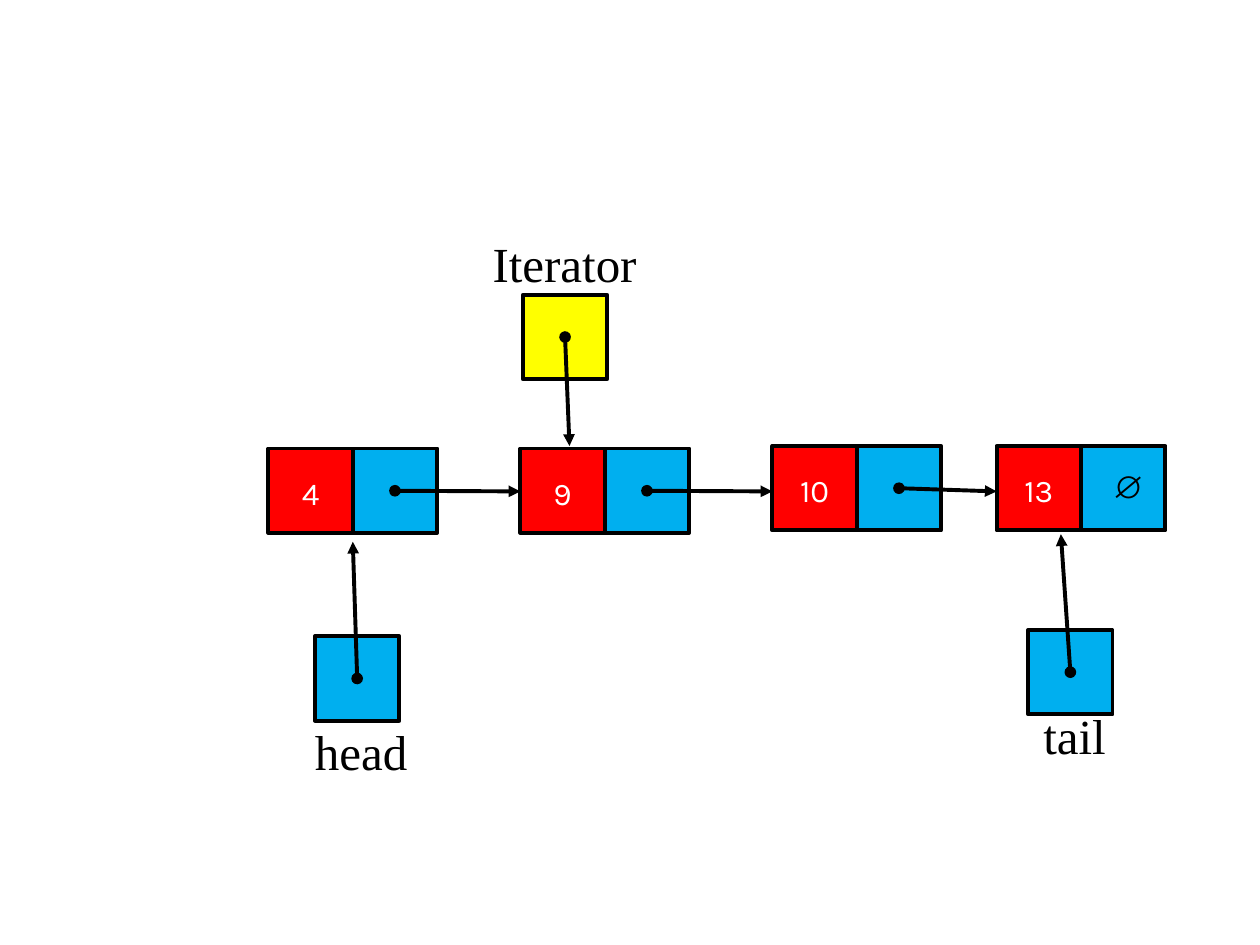
from dataclasses import dataclass
from itertools import pairwise

from lxml.etree import SubElement
from pptx import Presentation
from pptx.dml.color import RGBColor
from pptx.enum.shapes import MSO_CONNECTOR, MSO_SHAPE
from pptx.enum.text import MSO_ANCHOR, MSO_AUTO_SIZE, PP_ALIGN
from pptx.oxml.ns import qn
from pptx.util import Inches, Pt


@dataclass(frozen=True)
class Theme:
    value_fill: RGBColor = RGBColor(0xFF, 0x00, 0x00)
    link_fill: RGBColor = RGBColor(0x00, 0xAF, 0xEF)
    iterator_fill: RGBColor = RGBColor(0xFF, 0xFF, 0x00)
    ink: RGBColor = RGBColor(0x00, 0x00, 0x00)
    value_ink: RGBColor = RGBColor(0xFF, 0xFF, 0xFF)
    value_font: str = "Karla"
    null_font: str = "Arial"
    label_font: str = "Times New Roman"
    cell_size: int = 18
    label_size: int = 28
    line_width: float = 2.25


@dataclass(frozen=True)
class Box:
    left: float
    top: float
    width: float
    height: float

    @property
    def center(self):
        return self.left + self.width / 2, self.top + self.height / 2


THEME = Theme()
CELL = 0.67
ARROW_END_Y = 3.9
NULL_SIGN = "∅"
NODES = [("4", 2.13, 3.56), ("9", 4.13, 3.56), ("10", 6.13, 3.54), ("13", 7.91, 3.54)]


def write_text(shape, text, font_name, size, color, align, inset_left=0, inset_top=0):
    frame = shape.text_frame
    frame.text = text
    frame.word_wrap = True
    frame.auto_size = MSO_AUTO_SIZE.NONE
    frame.vertical_anchor = MSO_ANCHOR.TOP
    frame.margin_left, frame.margin_top = Inches(inset_left), Inches(inset_top)
    frame.margin_right = frame.margin_bottom = 0
    para = frame.paragraphs[0]
    para.alignment = align
    span = para.runs[0]
    span.font.name = font_name
    span.font.size = Pt(size)
    span.font.color.rgb = color


def add_cell(page, box, fill):
    cell = page.shapes.add_shape(
        MSO_SHAPE.RECTANGLE,
        Inches(box.left), Inches(box.top), Inches(box.width), Inches(box.height),
    )
    cell.shadow.inherit = False
    cell.fill.solid()
    cell.fill.fore_color.rgb = fill
    cell.line.color.rgb = THEME.ink
    cell.line.width = Pt(THEME.line_width)
    return cell


def add_arrow(page, start, end):
    arrow = page.shapes.add_connector(
        MSO_CONNECTOR.STRAIGHT, *(Inches(length) for length in (*start, *end))
    )
    arrow.line.color.rgb = THEME.ink
    arrow.line.width = Pt(THEME.line_width)
    outline = arrow.line._get_or_add_ln()
    SubElement(outline, qn("a:headEnd"), type="oval", w="med", len="med")
    SubElement(outline, qn("a:tailEnd"), type="triangle", w="med", len="med")
    SubElement(arrow._element.spPr, qn("a:effectLst"))


def add_node(page, box, value):
    half = box.width / 2
    value_cell = add_cell(page, Box(box.left, box.top, half, box.height), THEME.value_fill)
    write_text(value_cell, value, THEME.value_font, THEME.cell_size, THEME.value_ink,
               PP_ALIGN.CENTER, inset_top=0.2)
    link_box = Box(box.left + half, box.top, half, box.height)
    return add_cell(page, link_box, THEME.link_fill), link_box


def add_list(page, nodes):
    boxes = [Box(left, top, 2 * CELL, CELL) for _, left, top in nodes]
    links = [add_node(page, box, node[0]) for box, node in zip(boxes, nodes)]
    for (_, link_box), (_, next_left, _) in zip(links, nodes[1:]):
        add_arrow(page, link_box.center, (next_left, ARROW_END_Y))
    write_text(links[-1][0], NULL_SIGN, THEME.null_font, THEME.cell_size, THEME.ink,
               PP_ALIGN.LEFT, inset_left=0.25, inset_top=0.17)


def add_pointer(page, box, fill, target):
    add_cell(page, box, fill)
    add_arrow(page, box.center, target)


def place_label(shape, box, text):
    shape.left, shape.top = Inches(box.left), Inches(box.top)
    shape.width, shape.height = Inches(box.width), Inches(box.height)
    write_text(shape, text, THEME.label_font, THEME.label_size, THEME.ink,
               PP_ALIGN.LEFT, inset_left=0.01, inset_top=0.01)


def add_label(page, box, text):
    place_label(page.shapes.add_textbox(0, 0, 0, 0), box, text)


def main():
    deck = Presentation()
    deck.slide_width, deck.slide_height = Inches(10), Inches(7.5)
    page = deck.slides.add_slide(deck.slide_layouts[5])
    place_label(page.shapes.title, Box(3.9, 1.84, 1.17, 0.49), "Iterator")
    add_list(page, NODES)
    add_pointer(page, Box(4.15, 2.34, CELL, CELL), THEME.iterator_fill, (4.52, 3.54))
    add_pointer(page, Box(2.5, 5.05, CELL, CELL), THEME.link_fill, (2.8, 4.3))
    add_pointer(page, Box(8.16, 5, CELL, CELL), THEME.link_fill, (8.42, 4.24))
    add_label(page, Box(2.49, 5.72, 0.76, 0.49), "head")
    add_label(page, Box(8.27, 5.59, 0.52, 0.49), "tail")
    deck.save("out.pptx")


if __name__ == "__main__":
    main()
